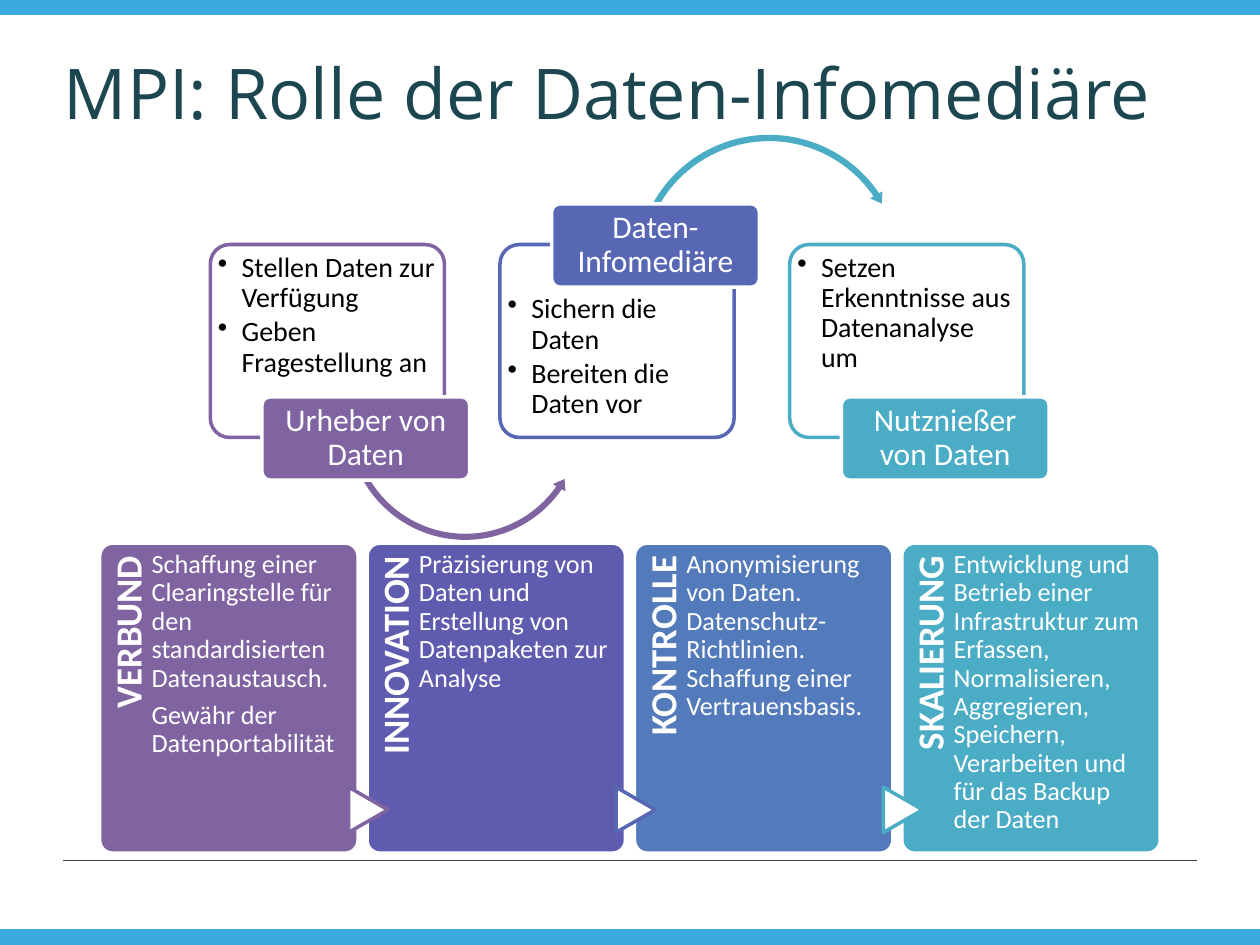
from dataclasses import dataclass
from typing import NamedTuple, Optional

from lxml.etree import SubElement
from pptx import Presentation
from pptx.dml.color import RGBColor
from pptx.enum.shapes import MSO_CONNECTOR as CONN, MSO_SHAPE as SHAPE
from pptx.enum.text import MSO_ANCHOR as ANCHOR, PP_ALIGN as ALIGN
from pptx.oxml.ns import qn
from pptx.util import Cm, Pt


@dataclass(frozen=True)
class Theme:
    bar: str = "3AA9E0"
    rule: str = "404040"
    title: str = "1D4750"
    white: str = "FFFFFF"
    black: str = "000000"
    purple: str = "8064A2"
    violet: str = "5F5BAE"
    indigo: str = "5767B4"
    blue: str = "537ABA"
    teal: str = "4BACC6"
    title_font: str = "Open Sans"
    font: str = "Calibri"
    title_size: float = 40
    pillar_size: float = 21
    label_size: float = 18
    list_size: float = 16
    text_size: float = 15


class Box(NamedTuple):
    x: float
    y: float
    w: float
    h: float

    def lengths(self):
        return [Cm(v) for v in self]


class Arrow(NamedTuple):
    kind: SHAPE
    box: Box
    color: str
    adjustments: tuple


class Role(NamedTuple):
    label: str
    points: tuple
    color: str
    label_on_top: bool = False
    arrow: Optional[Arrow] = None


class Pillar(NamedTuple):
    name: str
    texts: tuple
    color: str
    marker: Optional[str] = None


T = Theme()
ROLE_X, ROLE_STEP = 4.24, 5.84
PILLAR_X, PILLAR_STEP = 2.01, 5.39

ROLES = (
    Role("Urheber von Daten",
         ("Stellen Daten zur Verfügung", "Geben Fragestellung an"), T.purple,
         arrow=Arrow(SHAPE.LEFT_CIRCULAR_ARROW, Box(6.93, 6.07, 4.9, 4.9), T.purple,
                     (0.025, 3.09, 20.85, 90.25, 0.03))),
    Role("Daten-Infomediäre",
         ("Sichern die Daten", "Bereiten die Daten vor"), T.indigo, label_on_top=True,
         arrow=Arrow(SHAPE.CIRCULAR_ARROW, Box(12.75, 2.64, 5.51, 5.51), T.teal,
                     (0.023, 2.74, 195.51, 125.76, 0.026))),
    Role("Nutznießer von Daten",
         ("Setzen Erkenntnisse aus Datenanalyse um",), T.teal),
)

PILLARS = (
    Pillar("VERBUND",
           ("Schaffung einer Clearingstelle für den standardisierten Datenaustausch.",
            "Gewähr der Datenportabilität"), T.purple),
    Pillar("INNOVATION",
           ("Präzisierung von Daten und Erstellung von Datenpaketen zur Analyse",),
           T.violet, T.purple),
    Pillar("KONTROLLE",
           ("Anonymisierung von Daten. Datenschutz-Richtlinien. "
            "Schaffung einer Vertrauensbasis.",), T.blue, T.indigo),
    Pillar("SKALIERUNG",
           ("Entwicklung und Betrieb einer Infrastruktur zum Erfassen, Normalisieren, "
            "Aggregieren, Speichern, Verarbeiten und für das Backup der Daten",),
           T.teal, T.teal),
)


def rgb(color: str) -> RGBColor:
    return RGBColor.from_string(color)


def write(tf, *texts: str, size: float, color: str = T.white, font: str = T.font,
          bold: bool = False, align=ALIGN.LEFT, anchor=ANCHOR.TOP,
          insets=(0.25, 0.13, 0.25, 0.13), spacing: float = 0.9,
          after: float = 0, bullet: bool = False) -> None:
    tf.word_wrap = True
    tf.vertical_anchor = anchor
    tf.margin_left, tf.margin_top, tf.margin_right, tf.margin_bottom = map(Cm, insets)
    for i, text in enumerate(texts):
        p = tf.add_paragraph() if i else tf.paragraphs[0]
        p.alignment, p.line_spacing, p.space_after = align, spacing, Pt(after)
        if bullet:
            p.level = 1
            pPr = p._p.get_or_add_pPr()
            pPr.set("marL", str(Cm(0.48)))
            pPr.set("indent", str(Cm(-0.48)))
            SubElement(pPr, qn("a:buChar")).set("char", "•")
        r = p.add_run()
        r.text = text
        r.font.size, r.font.bold, r.font.name = Pt(size), bold, font
        r.font.color.rgb = rgb(color)


def draw_shape(slide, kind, box: Box, fill: str, line: Optional[str] = None,
               width: float = 2, adjustments: tuple = (), rotation: float = 0):
    sp = slide.shapes.add_shape(kind, *box.lengths())
    sp.shadow.inherit = False
    sp.rotation = rotation
    sp.fill.solid()
    sp.fill.fore_color.rgb = rgb(fill)
    if line:
        sp.line.color.rgb = rgb(line)
        sp.line.width = Pt(width)
    else:
        sp.line.fill.background()
    for i, value in enumerate(adjustments):
        sp.adjustments[i] = value
    return sp


def draw_frame(slide) -> None:
    for y in (0, 18.75):
        draw_shape(slide, SHAPE.RECTANGLE, Box(0, y, 25.4, 0.3), T.bar, T.bar, 0.75)
    rule = slide.shapes.add_connector(CONN.STRAIGHT, Cm(1.27), Cm(17.35), Cm(24.13), Cm(17.35))
    rule.line.color.rgb = rgb(T.rule)
    rule.line.width = Pt(0.25)
    SubElement(rule._element.spPr, qn("a:effectLst"))


def draw_role(slide, role: Role, x: float) -> None:
    card = draw_shape(slide, SHAPE.ROUNDED_RECTANGLE, Box(x, 4.93, 4.72, 3.89),
                      T.white, role.color, adjustments=(0.1,))
    top = 0.9 if role.label_on_top else 0.06
    write(card.text_frame, *role.points, size=T.list_size, color=T.black,
          insets=(0.04, top, 0.04, 0.06), after=2.4, bullet=True)
    if role.arrow:
        a = role.arrow
        draw_shape(slide, a.kind, a.box, a.color, adjustments=a.adjustments)
    label_y = 4.11 if role.label_on_top else 8
    label = draw_shape(slide, SHAPE.ROUNDED_RECTANGLE, Box(x + 1.04, label_y, 4.19, 1.68),
                       role.color, T.white, adjustments=(0.1,))
    write(label.text_frame, role.label, size=T.label_size, align=ALIGN.CENTER,
          anchor=ANCHOR.MIDDLE, insets=(0.1, 0.08, 0.1, 0.08))


def draw_pillar(slide, pillar: Pillar, x: float) -> None:
    block = draw_shape(slide, SHAPE.ROUNDED_RECTANGLE, Box(x, 10.95, 5.21, 6.25),
                       pillar.color, T.white, adjustments=(0.05,))
    write(block.text_frame, *pillar.texts, size=T.text_size,
          insets=(0.97, 0.08, 0.2, 0), after=5.25)
    name = slide.shapes.add_textbox(*Box(x - 2.04, 13, 5.13, 1.04).lengths())
    name.rotation = 270
    write(name.text_frame, pillar.name, size=T.pillar_size, bold=True,
          align=ALIGN.RIGHT, insets=(0, 0.2, 0.25, 0))
    if pillar.marker:
        draw_shape(slide, SHAPE.FLOWCHART_EXTRACT, Box(x - 0.43, 15.93, 0.91, 0.79),
                   T.white, pillar.marker, rotation=90)


def main() -> None:
    prs = Presentation()
    prs.slide_width, prs.slide_height = Cm(25.4), Cm(19.05)
    slide = prs.slides.add_slide(prs.slide_layouts[5])
    title = slide.shapes.title
    title.left, title.top, title.width, title.height = Box(1.04, 0.79, 22.86, 2.11).lengths()
    write(title.text_frame, "MPI: Rolle der Daten-Infomediäre", size=T.title_size,
          color=T.title, font=T.title_font, anchor=ANCHOR.MIDDLE, spacing=1.0)
    draw_frame(slide)
    for i, role in enumerate(ROLES):
        draw_role(slide, role, ROLE_X + i * ROLE_STEP)
    for i, pillar in enumerate(PILLARS):
        draw_pillar(slide, pillar, PILLAR_X + i * PILLAR_STEP)
    prs.save("out.pptx")


if __name__ == "__main__":
    main()
